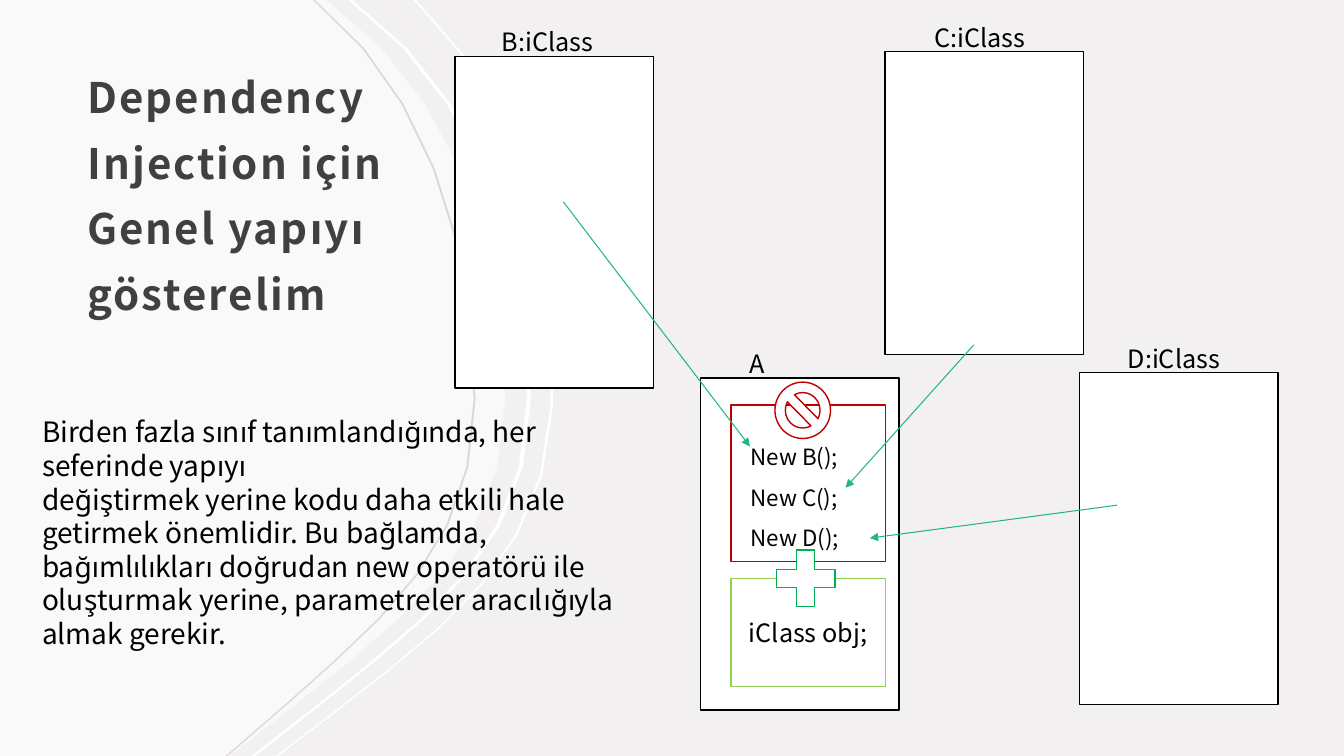
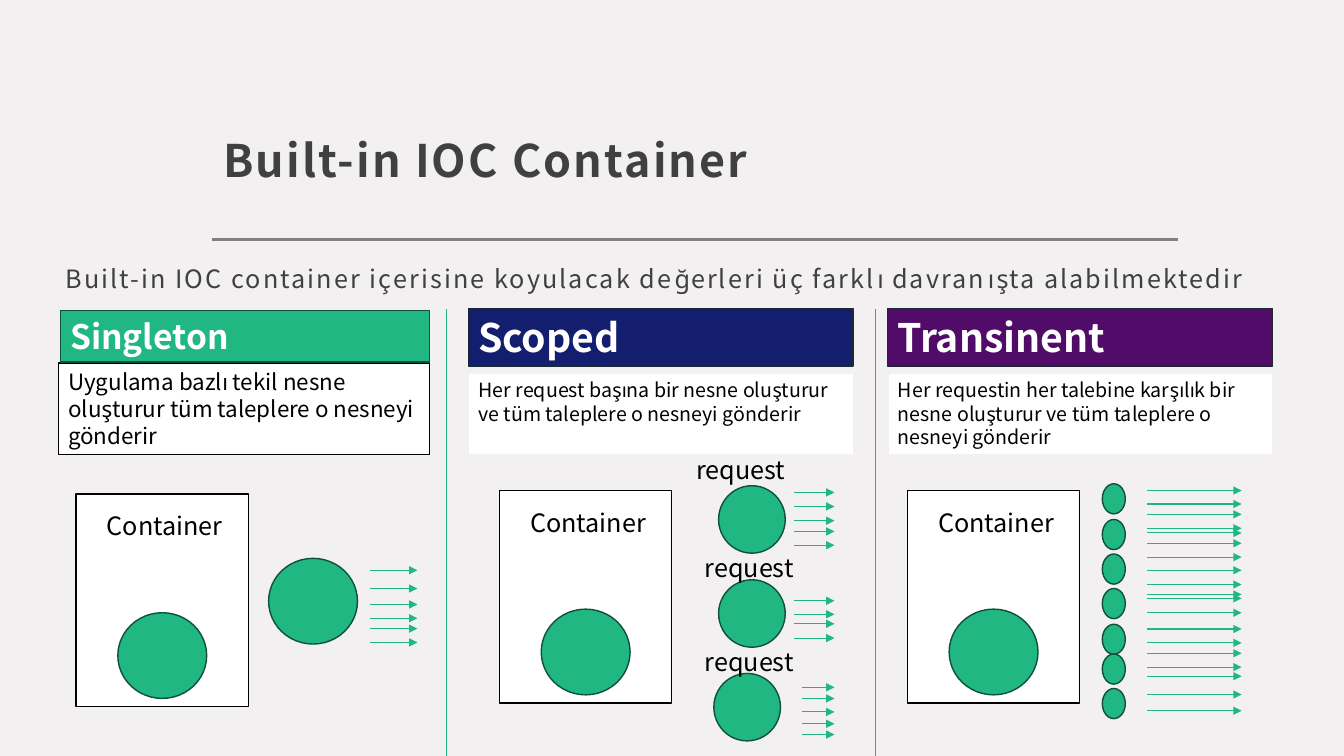
from dataclasses import dataclass

from lxml.etree import SubElement
from pptx import Presentation
from pptx.dml.color import RGBColor
from pptx.enum.shapes import MSO_CONNECTOR, MSO_SHAPE
from pptx.enum.text import MSO_ANCHOR, PP_ALIGN
from pptx.oxml.ns import qn
from pptx.util import Cm, Pt


@dataclass(frozen=True)
class Theme:
    font: str = "Noto Sans CJK JP"
    back: str = "F3F0F1"
    white: str = "FFFFFF"
    black: str = "000000"
    heading: str = "404040"
    rule: str = "808080"
    curve: str = "DED5D8"
    green: str = "21B782"
    green_edge: str = "0E5039"
    navy: str = "141E6F"
    purple: str = "510C6A"
    header_edge: str = "1C2732"
    forbidden: str = "C00000"
    allowed: str = "92D050"
    plus: str = "00B050"
    title: int = 32
    long_title: int = 30
    header: int = 28
    small_header: int = 24
    body: int = 20
    label: int = 18
    code: int = 16
    note: int = 14


@dataclass(frozen=True)
class Box:
    """A rectangle in centimetres."""
    left: float
    top: float
    width: float
    height: float

    def inner(self, left, top, width, height):
        return Box(self.left + left, self.top + top, width, height)

    def lengths(self):
        return Cm(self.left), Cm(self.top), Cm(self.width), Cm(self.height)


THEME = Theme()
SLIDE = Box(0, 0, 33.87, 19.05)
# Each curve: top end, two Bézier arcs that share a point, foot.
MAIN_CURVE = [(8.23, 0), (8.28, 0.05), (11.15, 2.11), (12.73, 5.82), (12.73, 10.06),
              (12.73, 13.79), (10.16, 15.57), (7.52, 17.7), (5.79, 19.05)]
OUTER_CURVE = [(10.49, 0), (10.57, 0.08), (12.93, 2.39), (14.15, 6.1), (13.94, 10.21),
               (13.77, 14.1), (11.18, 15.82), (8.48, 17.93), (7.01, 19.05)]


def rgb(color):
    return RGBColor.from_string(color)


def write(shape, lines, size, color=THEME.black, bold=False, anchor=MSO_ANCHOR.TOP,
          align=PP_ALIGN.LEFT):
    frame = shape.text_frame
    frame.word_wrap = True
    frame.vertical_anchor = anchor
    frame.text = lines
    for para in frame.paragraphs:
        para.alignment = align
        para.font.name = THEME.font
        para.font.size = Pt(size)
        para.font.bold = bold
        para.font.color.rgb = rgb(color)
    return frame


def add_text(page, box, lines, size, **style):
    return write(page.shapes.add_textbox(*box.lengths()), lines, size, **style)


def add_spaced_text(page, box, line, size, spacing, **style):
    """Add a line of letter-spaced text in the manner of titles and leads."""
    frame = add_text(page, box, line, size, color=THEME.heading, **style)
    frame.margin_left = frame.margin_right = frame.margin_top = Cm(0.3)
    frame.margin_bottom = Cm(0.25)
    para = frame.paragraphs[0]
    para.line_spacing = spacing
    for span in para.runs:
        span._r.get_or_add_rPr().set("spc", "150")
    return para


def add_title(page, box, line, size, anchor):
    add_spaced_text(page, box, line, size, 1.3, bold=True, anchor=anchor)


def add_figure(page, box, kind=MSO_SHAPE.RECTANGLE, fill=THEME.white, edge=THEME.black):
    shape = page.shapes.add_shape(kind, *box.lengths())
    shape.shadow.inherit = False
    shape.fill.solid()
    shape.fill.fore_color.rgb = rgb(fill)
    shape.line.color.rgb = rgb(edge)
    shape.line.width = Pt(1)
    return shape


def add_ball(page, box):
    add_figure(page, box, MSO_SHAPE.OVAL, THEME.green, THEME.green_edge)


def add_line(page, start, end, color=THEME.green, width=0.75, arrow=False):
    line = page.shapes.add_connector(MSO_CONNECTOR.STRAIGHT,
                                     *(Cm(value) for value in (*start, *end)))
    line.line.color.rgb = rgb(color)
    line.line.width = Pt(width)
    properties = line._element.spPr
    if arrow:
        SubElement(properties.find(qn("a:ln")), qn("a:tailEnd"), type="triangle")
    SubElement(properties, qn("a:effectLst"))


def add_fan(page, box, left, right, tops):
    """Add level arrows at the given heights, measured from the box."""
    for top in tops:
        height = box.top + top
        add_line(page, (box.left + left, height), (box.left + right, height), arrow=True)


def trace(curve, shift=0, scale=1, steps=6):
    """Turn the arcs of a curve into a few points, scaled from the foot."""
    points = [curve[0]]
    for first in (1, 4):
        arc = curve[first:first + 4]
        for step in range(1, steps + 1):
            t = step / steps
            weights = ((1 - t) ** 3, 3 * t * (1 - t) ** 2, 3 * t * t * (1 - t), t ** 3)
            points.append(tuple(sum(weight * point[axis] for weight, point in zip(weights, arc))
                                for axis in (0, 1)))
    points.append(curve[-1])
    foot = curve[-1][0]
    return [(foot + (x - foot) * scale + shift, y) for x, y in points]


def add_outline(page, points, color, opacity=None):
    corners = [(Cm(x), Cm(y)) for x, y in points]
    builder = page.shapes.build_freeform(*corners[0], scale=1.0)
    builder.add_line_segments(corners[1:], close=True)
    shape = builder.convert_to_shape()
    shape.shadow.inherit = False
    shape.fill.solid()
    shape.fill.fore_color.rgb = rgb(color)
    shape.line.fill.background()
    if opacity:
        tint = shape._element.spPr.find(".//" + qn("a:srgbClr"))
        SubElement(tint, qn("a:alpha"), val=str(opacity * 1000))


def add_swoosh(page):
    """Add the pale curved field on the left and the thin bands along it."""
    add_outline(page, [(0, 0), *trace(MAIN_CURVE), (0, SLIDE.height)], THEME.white, 60)
    bands = [(OUTER_CURVE, 0, 1, 0.06, THEME.white),
             (MAIN_CURVE, 0.65, 1, 0.1, THEME.white),
             (MAIN_CURVE, -0.05, 0.9, 0.05, THEME.curve)]
    for curve, shift, scale, width, color in bands:
        outer = trace(curve, shift, scale)
        inner = trace(curve, shift - width, scale)
        add_outline(page, outer + inner[::-1], color)


def add_class(page, box, name, indent):
    add_figure(page, box)
    add_text(page, box.inner(indent, -0.87, 3.05, 1.02), name, THEME.label)


def add_class_body(page, box):
    """Fill the dependent class: what to avoid above, what to do below."""
    add_figure(page, box.inner(0.76, 0.68, 3.89, 3.94), edge=THEME.forbidden)
    for row, name in enumerate("BCD"):
        add_text(page, box.inner(1.01, 1.52 + 1.02 * row, 3.25, 0.94),
                 f"New {name}();", THEME.code)
    add_figure(page, box.inner(1.87, 0.1, 1.4, 1.42), MSO_SHAPE.NO_SYMBOL,
               edge=THEME.forbidden)
    good = add_figure(page, box.inner(0.76, 5.05, 3.89, 2.72), edge=THEME.allowed)
    write(good, "iClass obj;", THEME.label, anchor=MSO_ANCHOR.MIDDLE, align=PP_ALIGN.CENTER)
    add_figure(page, box.inner(1.64, 4.08, 2.01, 1.93), MSO_SHAPE.MATH_PLUS, edge=THEME.plus)


def build_injection(page):
    add_swoosh(page)
    add_title(page, Box(1.9, 0.63, 8.79, 8.15),
              "Dependency Injection için Genel yapıyı gösterelim",
              THEME.long_title, MSO_ANCHOR.MIDDLE)
    dependent = Box(17.66, 9.53, 5, 8.36)
    for name, box, indent in [("B:iClass", Box(11.47, 1.42, 5, 8.36), 0.93),
                              ("A", dependent, 0.98),
                              ("C:iClass", Box(22.3, 1.3, 5, 7.63), 1),
                              ("D:iClass", Box(27.21, 9.39, 5, 8.36), 0.96)]:
        add_class(page, box, name, indent)
    add_class_body(page, dependent)
    for start, end in [((14.2, 5.09), (18.9, 11.25)), ((24.54, 8.69), (21.31, 12.29)),
                       ((28.15, 12.73), (21.92, 13.56))]:
        add_line(page, start, end, arrow=True)
    add_text(page, Box(0.81, 10.33, 16.1, 6.25),
             "Birden fazla sınıf tanımlandığında, her seferinde yapıyı\n"
             "değiştirmek yerine kodu daha etkili hale getirmek önemlidir. Bu bağlamda, "
             "bağımlılıkları doğrudan new operatörü ile oluşturmak yerine, parametreler "
             "aracılığıyla almak gerekir.", THEME.body)


def add_container(page, box):
    add_figure(page, box)
    add_ball(page, box.inner(1.05, 2.99, 2.24, 2.16))
    add_text(page, box.inner(0.52, 0.29, 4.34, 1.02), "Container", THEME.label)


def add_card(page, header, name, size, fill, header_edge, note, words, note_size, note_edge):
    write(add_figure(page, note, edge=note_edge), words, note_size)
    write(add_figure(page, header, fill=fill, edge=header_edge), name, size,
          color=THEME.white, bold=True)


def add_wide_card(page, box, name, fill, words):
    add_card(page, box.inner(0, 0, 9.7, 1.45), name, THEME.header, fill, THEME.header_edge,
             box.inner(0.01, 1.63, 9.7, 2.06), words, THEME.note, THEME.back)


def add_singleton(page, box):
    add_container(page, box.inner(0.42, 4.68, 4.34, 5.36))
    add_ball(page, box.inner(5.27, 6.3, 2.24, 2.16))
    add_fan(page, box, 7.82, 9.02, [6.6, 7.06, 7.46, 7.81, 8.07, 8.42])
    add_card(page, box.inner(0.02, 0.06, 9.3, 1.29), "Singleton", THEME.small_header,
             THEME.green, THEME.green_edge, box.inner(-0.03, 1.38, 9.35, 2.31),
             "Uygulama bazlı tekil nesne oluşturur tüm taleplere o nesneyi gönderir",
             THEME.code, THEME.black)


def add_scoped(page, box):
    add_container(page, box.inner(0.79, 4.59, 4.34, 5.36))
    requests = [((5.5, 3.56), (6.31, 4.47), 8.22, [4.64, 4.99, 5.35, 5.62, 5.97]),
                ((5.71, 6.02), (6.31, 6.84), 8.22, [7.37, 7.71, 7.95, 8.31]),
                ((5.71, 8.38), (6.19, 9.2), 8.42, [9.55, 9.83, 10.17, 10.47, 10.74])]
    for label, ball, left, tops in requests:
        add_ball(page, box.inner(*ball, 1.68, 1.7))
        add_fan(page, box, left, 9.23, tops)
        add_text(page, box.inner(*label, 3.25, 1.02), "request", THEME.label)
    add_wide_card(page, box, "Scoped", THEME.navy,
                  "Her request başına bir nesne oluşturur ve tüm taleplere o nesneyi gönderir")


def add_transient(page, box):
    add_container(page, box.inner(0.5, 4.59, 4.34, 5.36))
    for top in (4.42, 5.32, 6.19, 7.06, 7.96, 8.71, 9.58):
        add_ball(page, box.inner(5.41, top, 0.58, 0.76))
    add_fan(page, box, 6.54, 8.92,
            [4.59, 4.93, 5.19, 5.54, 5.66, 5.92, 6.27, 6.6, 6.96, 7.21,
             7.31, 7.67, 8.08, 8.43, 8.69, 9.04, 9.27, 9.73, 10.14])
    add_wide_card(page, box, "Transinent", THEME.purple,
                  "Her requestin her talebine karşılık bir nesne oluşturur "
                  "ve tüm taleplere o nesneyi gönderir")


def build_container(page):
    add_line(page, (5.33, 6.04), (29.69, 6.04), THEME.rule, 2)
    add_title(page, Box(5.33, 1.22, 24.36, 3.73), "Built-in IOC Container",
              THEME.title, MSO_ANCHOR.BOTTOM)
    lead = add_spaced_text(
        page, Box(1.35, 6.03, 31.95, 3),
        "Built-in IOC container içerisine koyulacak değerleri üç farklı davranışta alabilmektedir",
        THEME.label, 1.4)
    lead.space_before = Pt(9.3)
    for left, add_column in ((1.5, add_singleton), (11.8, add_scoped), (22.37, add_transient)):
        add_column(page, Box(left, 7.77, 9.7, 11.28))
    for left, color in ((11.25, THEME.green), (22.06, THEME.rule)):
        add_line(page, (left, 7.78), (left, SLIDE.height), color)


def main():
    deck = Presentation()
    deck.slide_width, deck.slide_height = SLIDE.lengths()[2:]
    backdrop = deck.slide_master.background.fill
    backdrop.solid()
    backdrop.fore_color.rgb = rgb(THEME.back)
    for build in (build_injection, build_container):
        build(deck.slides.add_slide(deck.slide_layouts[6]))
    deck.save("out.pptx")


if __name__ == "__main__":
    main()
